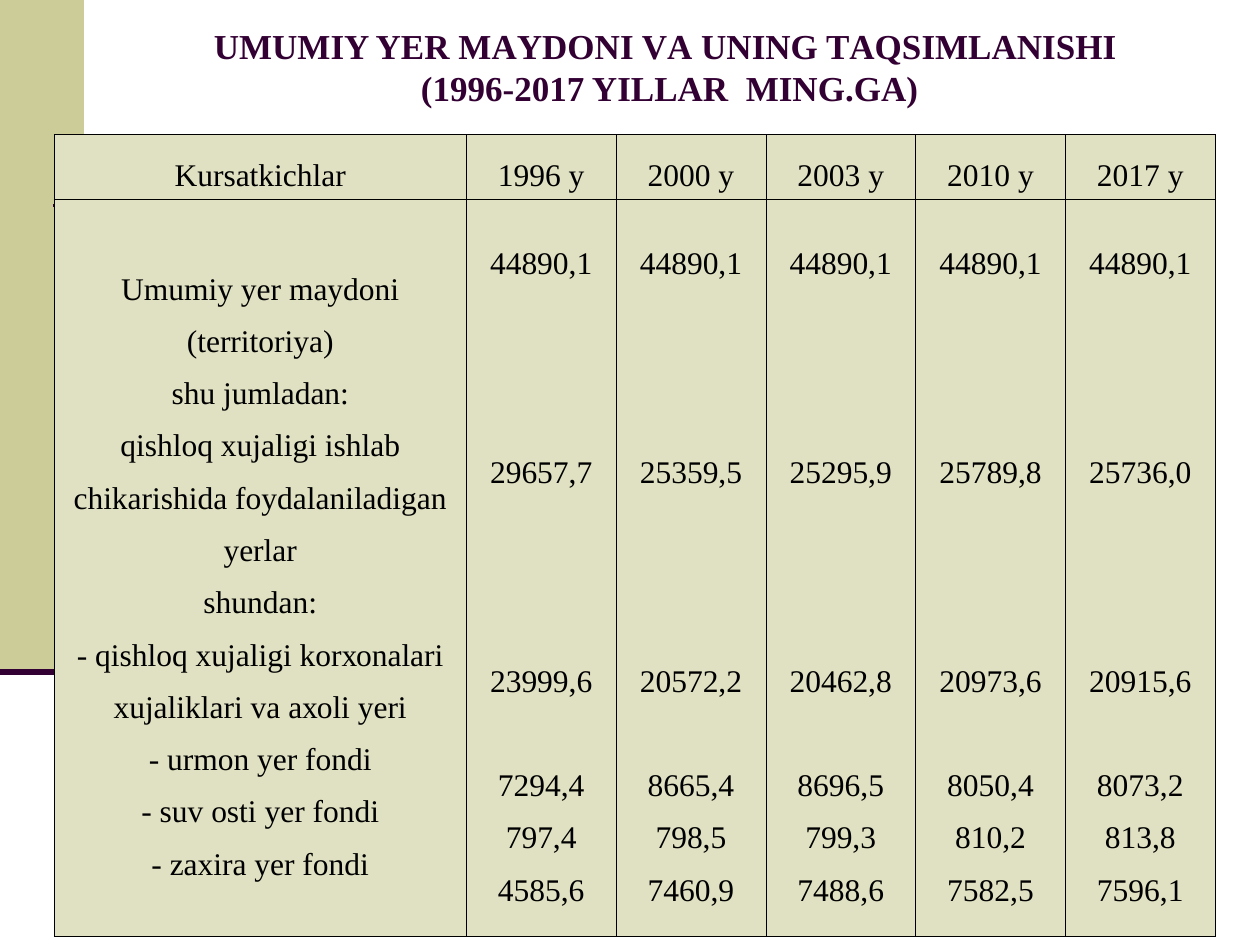
from lxml import etree
from pptx import Presentation
from pptx.dml.color import RGBColor
from pptx.enum.shapes import MSO_CONNECTOR, MSO_SHAPE
from pptx.enum.text import MSO_ANCHOR, MSO_AUTO_SIZE, PP_ALIGN
from pptx.oxml.ns import qn
from pptx.util import Pt

CENTER = PP_ALIGN.CENTER
MIDDLE = MSO_ANCHOR.MIDDLE
NO_AUTOFIT = MSO_AUTO_SIZE.NONE
RECTANGLE = MSO_SHAPE.RECTANGLE
STRAIGHT = MSO_CONNECTOR.STRAIGHT

PLUM = RGBColor(0x33, 0x00, 0x33)
KHAKI = RGBColor(0xCC, 0xCC, 0x99)
PALE_KHAKI = RGBColor(0xE0, 0xE0, 0xC2)
BLACK = RGBColor(0, 0, 0)
FONT = "Times New Roman"

TITLE_LINES = [
    "UMUMIY YЕR MАYDОNI VА UNING TАQSIMLАNISHI",
    " (1996-2017 YILLАR  MING.GА)",
]
HEADERS = ["Kursаtkichlаr", "1996 y", "2000 y", "2003 y", "2010 y", "2017 y"]
INDICATORS = [
    "Umumiy yеr mаydоni (tеrritоriya)",
    "shu jumlаdаn:",
    "qishloq хujаligi ishlаb chikаrishidа fоydаlаnilаdigаn yerlar",
    "shundаn:",
    "- qishloq хujаligi kоrхоnаlаri хujаliklаri vа ахоli yeri",
    "- urmоn yеr fоndi",
    "- suv оsti yеr fоndi",
    "- zахirа yеr fоndi",
]
YEAR_VALUES = [
    ["44890,1", "29657,7", "23999,6", "7294,4", "797,4", "4585,6"],
    ["44890,1", "25359,5", "20572,2", "8665,4", "798,5", "7460,9"],
    ["44890,1", "25295,9", "20462,8", "8696,5", "799,3", "7488,6"],
    ["44890,1", "25789,8", "20973,6", "8050,4", "810,2", "7582,5"],
    ["44890,1", "25736,0", "20915,6", "8073,2", "813,8", "7596,1"],
]
LINE_PITCH = 29.86
VALUE_GAPS = [lines * LINE_PITCH for lines in (0, 3, 3, 1, 0, 0)]


def write_text(frame, lines, size, color, bold=False, line_spacing=None, gaps=None):
    """Write centred paragraphs; gaps holds the space before each, in points."""
    for index, line in enumerate(lines):
        paragraph = frame.paragraphs[0] if index == 0 else frame.add_paragraph()
        paragraph.alignment = CENTER
        paragraph.space_before = Pt(gaps[index] if gaps else 0)
        if line_spacing:
            paragraph.line_spacing = line_spacing
        run = paragraph.add_run()
        run.text = line
        run.font.name = FONT
        run.font.size = Pt(size)
        run.font.bold = bold
        run.font.color.rgb = color


def add_line(slide, start, end, width):
    line = slide.shapes.add_connector(STRAIGHT, *map(Pt, start + end))
    line.line.color.rgb = PLUM
    line.line.width = Pt(width)
    etree.SubElement(line._element.spPr, qn("a:effectLst"))


def add_side_band(slide, left, top, width, height):
    band = slide.shapes.add_shape(RECTANGLE, Pt(left), Pt(top), Pt(width), Pt(height))
    band.shadow.inherit = False
    band.fill.solid()
    band.fill.fore_color.rgb = KHAKI
    band.line.fill.background()
    bottom = top + height
    add_line(slide, (left, bottom), (left + width, bottom), 3.5)


def place_title(slide, left, top, width, height):
    title = slide.shapes.title
    title.left, title.top, title.width, title.height = map(Pt, (left, top, width, height))
    frame = title.text_frame
    frame.word_wrap = False
    frame.auto_size = NO_AUTOFIT
    frame.vertical_anchor = MIDDLE
    write_text(frame, TITLE_LINES, 20, PLUM, bold=True)


def format_cell(cell):
    cell.vertical_anchor = MIDDLE
    cell.margin_left = cell.margin_right = Pt(5.2)
    cell.margin_top = cell.margin_bottom = Pt(3.6)
    properties = cell._tc.get_or_add_tcPr()
    for side in ("lnL", "lnR", "lnT", "lnB"):
        border = etree.SubElement(properties, qn(f"a:{side}"), w=str(Pt(0.45)))
        fill = etree.SubElement(border, qn("a:solidFill"))
        etree.SubElement(fill, qn("a:srgbClr"), val=str(BLACK))
    cell.fill.solid()
    cell.fill.fore_color.rgb = PALE_KHAKI


def add_land_table(slide, left, top, width, height):
    label_width, header_height = 235.5, 32.4
    table = slide.shapes.add_table(
        2, len(HEADERS), Pt(left), Pt(top), Pt(width), Pt(height)
    ).table
    table.first_row = table.horz_banding = False
    table.rows[0].height = Pt(header_height)
    table.rows[1].height = Pt(height - header_height)
    year_width = (width - label_width) / len(YEAR_VALUES)
    for index, (header, body) in enumerate(zip(HEADERS, [INDICATORS] + YEAR_VALUES)):
        table.columns[index].width = Pt(year_width if index else label_width)
        gaps = VALUE_GAPS if index else None
        for row, (lines, spaces) in enumerate((([header], None), (body, gaps))):
            cell = table.cell(row, index)
            format_cell(cell)
            write_text(cell.text_frame, lines, 18, BLACK, line_spacing=1.5, gaps=spaces)


def main():
    presentation = Presentation()
    presentation.slide_width, presentation.slide_height = Pt(720), Pt(540)
    slide = presentation.slides.add_slide(presentation.slide_layouts[5])
    add_side_band(slide, 0, 0, 48, 384)
    add_line(slide, (30.2, 117.4), (684, 117.4), 1.5)
    add_land_table(slide, 31, 77, 663.4, 453.6)
    place_title(slide, 113.8, 10, 532.8, 55.5)
    presentation.save("out.pptx")


if __name__ == "__main__":
    main()
